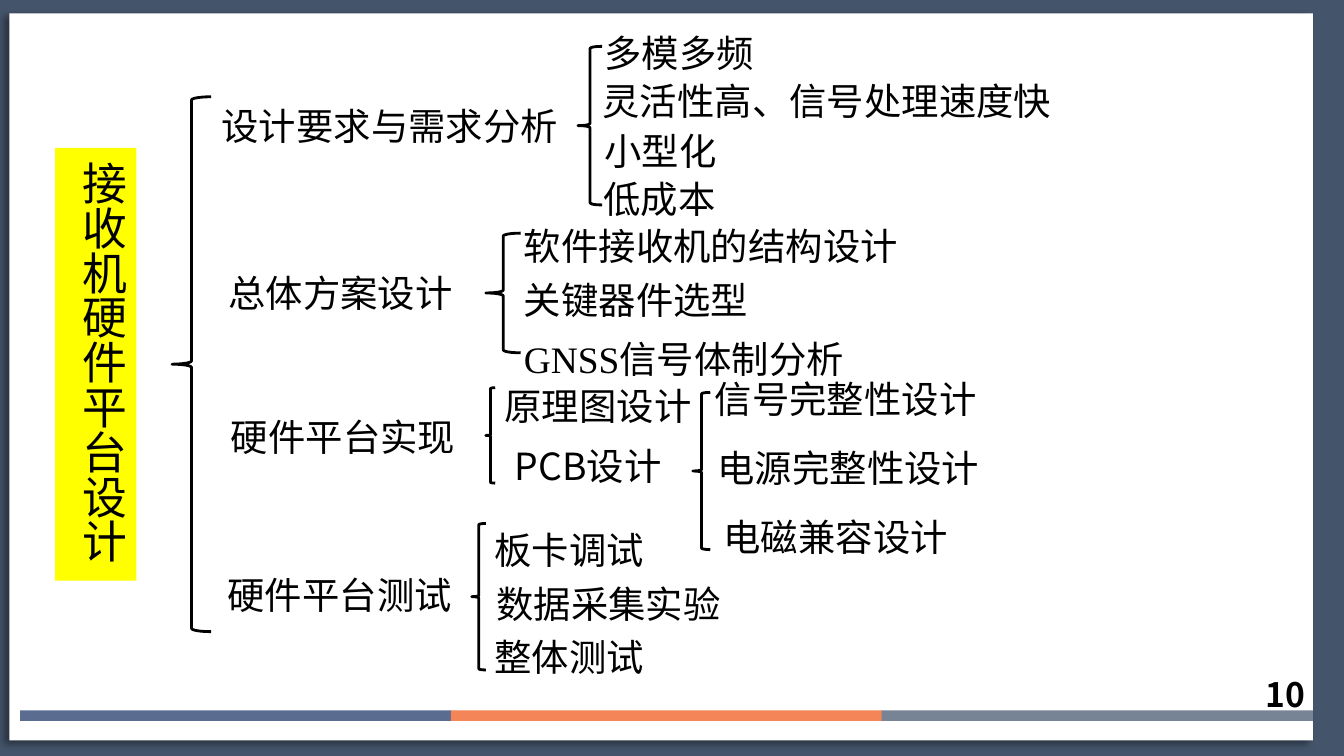
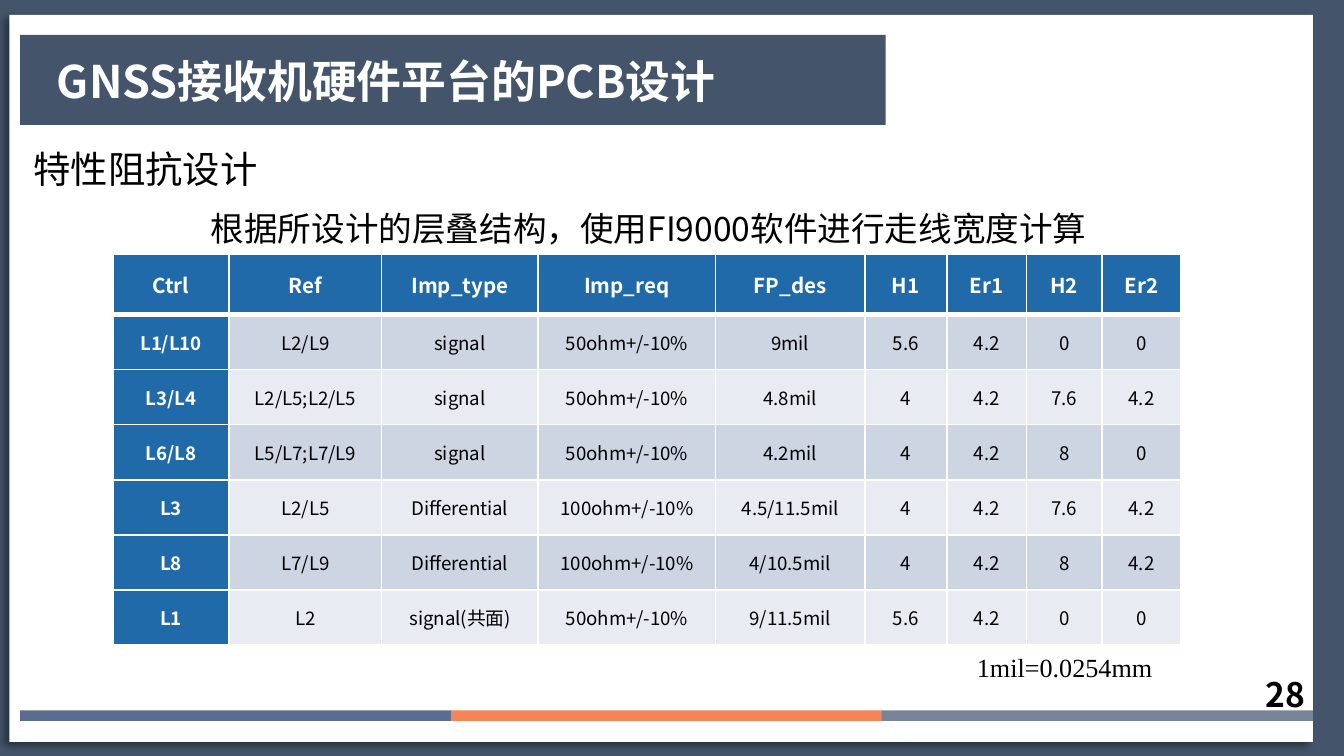
from lxml import etree
from pptx import Presentation
from pptx import util as u
from pptx.dml.color import RGBColor
from pptx.enum import shapes as kinds, text as t
from pptx.oxml.ns import qn

EMU_PER_PX = 4572
WIDTH, HEIGHT = 2000, 1125
SANS, SERIF = "Noto Sans CJK SC", "Times New Roman"
BLACK, WHITE, YELLOW = "000000", "FFFFFF", "FFFF00"
SLATE, BLUE = "44546A", "216AA9"
ROW_TINTS = ["CDD4E2", "E8EBF1"]
FOOTER_COLORS = ["5A6C90", "F38558", "778495"]
LINE_HEIGHT = 88

BRANCHES = [
    {"origin": (860, 69), "brace": (36, 236), "label": ("设计要求与需求分析", -550, 75, 542),
     "leaves": [("多模多频", 20, -34, 328), ("灵活性高、信号处理速度快", 17, 37, 720),
                ("小型化", 20, 112, 464), ("低成本", 18, 184, 464)]},
    {"origin": (723, 347), "brace": (52, 178), "label": ("总体方案设计", -403, 45, 396),
     "leaves": [("软件接收机的结构设计", 37, -25, 628), ("关键器件选型", 37, 56, 464),
                ("GNSS信号体制分析", 37, 143, 734)]},
    {"origin": (723, 577), "brace": (14, 142), "label": ("硬件平台实现", -399, 29, 396),
     "leaves": [("原理图设计", 8, -17, 464), ("PCB设计", 23, 72, 464)]},
    {"origin": (1031, 584), "brace": (26, 234), "label": None,
     "leaves": [("信号完整性设计", 13, -34, 464), ("电源完整性设计", 17, 69, 464),
                ("电磁兼容设计", 26, 171, 464)]},
    {"origin": (702, 779), "brace": (21, 218), "label": ("硬件平台测试", -383, 63, 396),
     "leaves": [("板卡调试", 14, -5, 272), ("数据采集实验", 17, 76, 394),
                ("整体测试", 14, 155, 272)]},
]

COLUMN_WIDTHS = [173, 227, 233, 264, 222, 122, 119, 112, 118]
HEADER_HEIGHT, ROW_HEIGHT = 90, 82
IMPEDANCE_ROWS = [
    ["Ctrl", "Ref", "Imp_type", "Imp_req", "FP_des", "H1", "Er1", "H2", "Er2"],
    ["L1/L10", "L2/L9", "signal", "50ohm+/-10%", "9mil", "5.6", "4.2", "0", "0"],
    ["L3/L4", "L2/L5;L2/L5", "signal", "50ohm+/-10%", "4.8mil", "4", "4.2", "7.6", "4.2"],
    ["L6/L8", "L5/L7;L7/L9", "signal", "50ohm+/-10%", "4.2mil", "4", "4.2", "8", "0"],
    ["L3", "L2/L5", "Differential", "100ohm+/-10%", "4.5/11.5mil", "4", "4.2", "7.6", "4.2"],
    ["L8", "L7/L9", "Differential", "100ohm+/-10%", "4/10.5mil", "4", "4.2", "8", "4.2"],
    ["L1", "L2", "signal(共面)", "50ohm+/-10%", "9/11.5mil", "5.6", "4.2", "0", "0"],
]


def px(*lengths):
    """Turn pixel lengths into EMU."""
    return [u.Emu(length * EMU_PER_PX) for length in lengths]


def rgb(value):
    """Turn a hex string into a colour."""
    return RGBColor.from_string(value)


def write(frame, content, size=20, color=BLACK, bold=False, latin=SANS, align=None):
    """Write one formatted run into a text frame."""
    frame.word_wrap = True
    paragraph = frame.paragraphs[0]
    paragraph.alignment = align
    run = paragraph.add_run()
    run.text = content
    font = run.font
    font.size, font.bold, font.name = u.Pt(size), bold, latin
    font.color.rgb = rgb(color)
    etree.SubElement(run._r.get_or_add_rPr(), qn("a:ea"), typeface=SANS)


def add_text(shapes, box, content, **style):
    """Add a text box with one line of text."""
    shape = shapes.add_textbox(*px(*box))
    write(shape.text_frame, content, **style)


def add_rect(shapes, box, fill):
    """Add a plain filled rectangle."""
    shape = shapes.add_shape(kinds.MSO_SHAPE.RECTANGLE, *px(*box))
    shape.shadow.inherit = False
    shape.fill.solid()
    shape.fill.fore_color.rgb = rgb(fill)
    shape.line.fill.background()
    return shape


def add_brace(shapes, box):
    """Add a left brace drawn as an outline."""
    shape = shapes.add_shape(kinds.MSO_SHAPE.LEFT_BRACE, *px(*box))
    shape.shadow.inherit = False
    shape.fill.background()
    shape.line.color.rgb = rgb(BLACK)
    shape.line.width = u.Pt(1.5)


def add_shadow(shape):
    """Give a shape a soft shadow toward the lower left."""
    effects = shape._element.spPr.find(qn("a:effectLst"))
    shadow = etree.SubElement(effects, qn("a:outerShdw"), blurRad=str(u.Pt(4)),
                              dist=str(u.Pt(3)), dir=str(135 * 60000),
                              algn="tr", rotWithShape="0")
    color = etree.SubElement(shadow, qn("a:srgbClr"), val=BLACK)
    etree.SubElement(color, qn("a:alpha"), val="40000")


def add_footer(slide, x, y, number):
    """Place the three-colour band and the page number."""
    band = slide.shapes.add_group_shape().shapes
    for index, color in enumerate(FOOTER_COLORS):
        add_rect(band, (x + 641 * index, y, 642, 16), color)
    add_text(slide.shapes, (x + 1834, y - 64, 108, 80), number, size=18, bold=True)


def add_framed_slide(presentation, number, panel_top):
    """Add a blank slide with its frame, panel and footer."""
    slide = presentation.slides.add_slide(presentation.slide_layouts[6])
    add_rect(slide.shapes, (0, 0, WIDTH, HEIGHT), SLATE)
    add_shadow(add_rect(slide.shapes, (14, panel_top, 1940, 1082), WHITE))
    add_footer(slide, 30, 1057, number)
    return slide


def add_title(slide, x, y, content):
    """Place the title band and its text."""
    title = slide.shapes.add_group_shape().shapes
    add_rect(title, (x, y, 1288, 134), SLATE)
    add_text(title, (x + 35, y + 18, 1392, 100), content, size=24, color=WHITE, bold=True)


def add_root(slide, x, y):
    """Place the vertical root label and the brace beside it."""
    root = add_rect(slide.shapes, (x, y, 121, 644), YELLOW)
    root.text_frame.vertical_anchor = t.MSO_ANCHOR.TOP
    write(root.text_frame, "接收机硬件平台设计", size=24, align=t.PP_ALIGN.LEFT)
    root.text_frame._txBody.bodyPr.set("vert", "eaVert")
    add_brace(slide.shapes, (x + 174, y - 76, 58, 796))


def add_branch(slide, origin, brace, label, leaves):
    """Place a brace with its label and leaves around one origin."""
    x, y = origin
    add_brace(slide.shapes, (x, y, *brace))
    for content, dx, dy, width in ([label] if label else []) + leaves:
        latin = SERIF if content.startswith("GNSS") else SANS
        add_text(slide.shapes, (x + dx, y + dy, width, LINE_HEIGHT), content, latin=latin)


def add_borders(cell, **widths):
    """Draw white cell borders of the given point widths."""
    properties = cell._tc.get_or_add_tcPr()
    for side in "LRTB":
        line = etree.SubElement(properties, qn(f"a:ln{side}"),
                                w=str(u.Pt(widths.get(side, 1))))
        fill = etree.SubElement(line, qn("a:solidFill"))
        etree.SubElement(fill, qn("a:srgbClr"), val=WHITE)


def format_cell(cell, content, row, column):
    """Fill and format one cell by its place in the table."""
    heading = row == 0 or column == 0
    add_borders(cell, T=3 if row == 1 else 1, B=3 if row == 0 else 1)
    cell.fill.solid()
    cell.fill.fore_color.rgb = rgb(BLUE if heading else ROW_TINTS[(row - 1) % 2])
    cell.vertical_anchor = t.MSO_ANCHOR.MIDDLE
    cell.margin_left, cell.margin_right, cell.margin_top, cell.margin_bottom = px(14, 14, 0, 0)
    write(cell.text_frame, content, size=10 if row else 11, bold=heading,
          color=WHITE if heading else BLACK, align=t.PP_ALIGN.CENTER)


def add_impedance_table(slide, x, y):
    """Place the impedance table with its caption and unit note."""
    heights = [HEADER_HEIGHT] + [ROW_HEIGHT] * (len(IMPEDANCE_ROWS) - 1)
    box = (x, y, sum(COLUMN_WIDTHS), sum(heights))
    table = slide.shapes.add_table(len(heights), len(COLUMN_WIDTHS), *px(*box)).table
    table.horz_banding = False
    for column, width in zip(table.columns, px(*COLUMN_WIDTHS)):
        column.width = width
    for row, height in zip(table.rows, px(*heights)):
        row.height = height
    for row, values in enumerate(IMPEDANCE_ROWS):
        for column, content in enumerate(values):
            format_cell(table.cell(row, column), content, row, column)
    add_text(slide.shapes, (x + 126, y - 79, 1412, 80),
             "根据所设计的层叠结构，使用FI9000软件进行走线宽度计算", size=18)
    add_text(slide.shapes, (x + 1266, y + sum(heights), 324, 68), "1mil=0.0254mm",
             size=14, latin=SERIF)


def build_outline_slide(presentation):
    """Build the outline tree of the receiver platform."""
    slide = add_framed_slide(presentation, "10", 20)
    add_root(slide, 82, 220)
    for branch in BRANCHES:
        add_branch(slide, **branch)


def build_impedance_slide(presentation):
    """Build the slide on characteristic impedance."""
    slide = add_framed_slide(presentation, "28", 22)
    add_title(slide, 30, 52, "GNSS接收机硬件平台的PCB设计")
    add_text(slide.shapes, (30, 208, 664, LINE_HEIGHT), "特性阻抗设计")
    add_impedance_table(slide, 168, 378)


def main():
    """Build and save the presentation."""
    presentation = Presentation()
    presentation.slide_width, presentation.slide_height = px(WIDTH, HEIGHT)
    build_outline_slide(presentation)
    build_impedance_slide(presentation)
    presentation.save("out.pptx")


if __name__ == "__main__":
    main()
